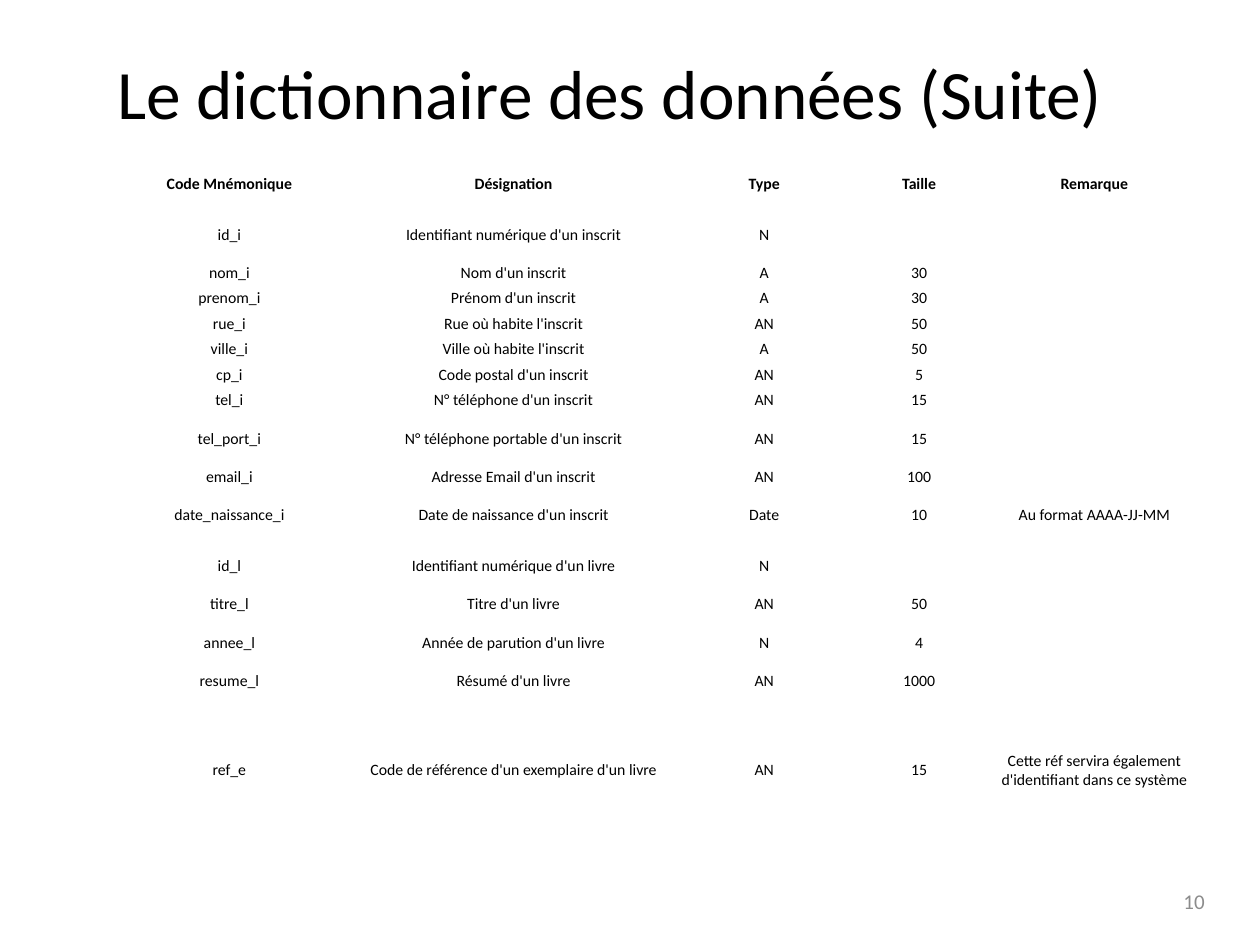
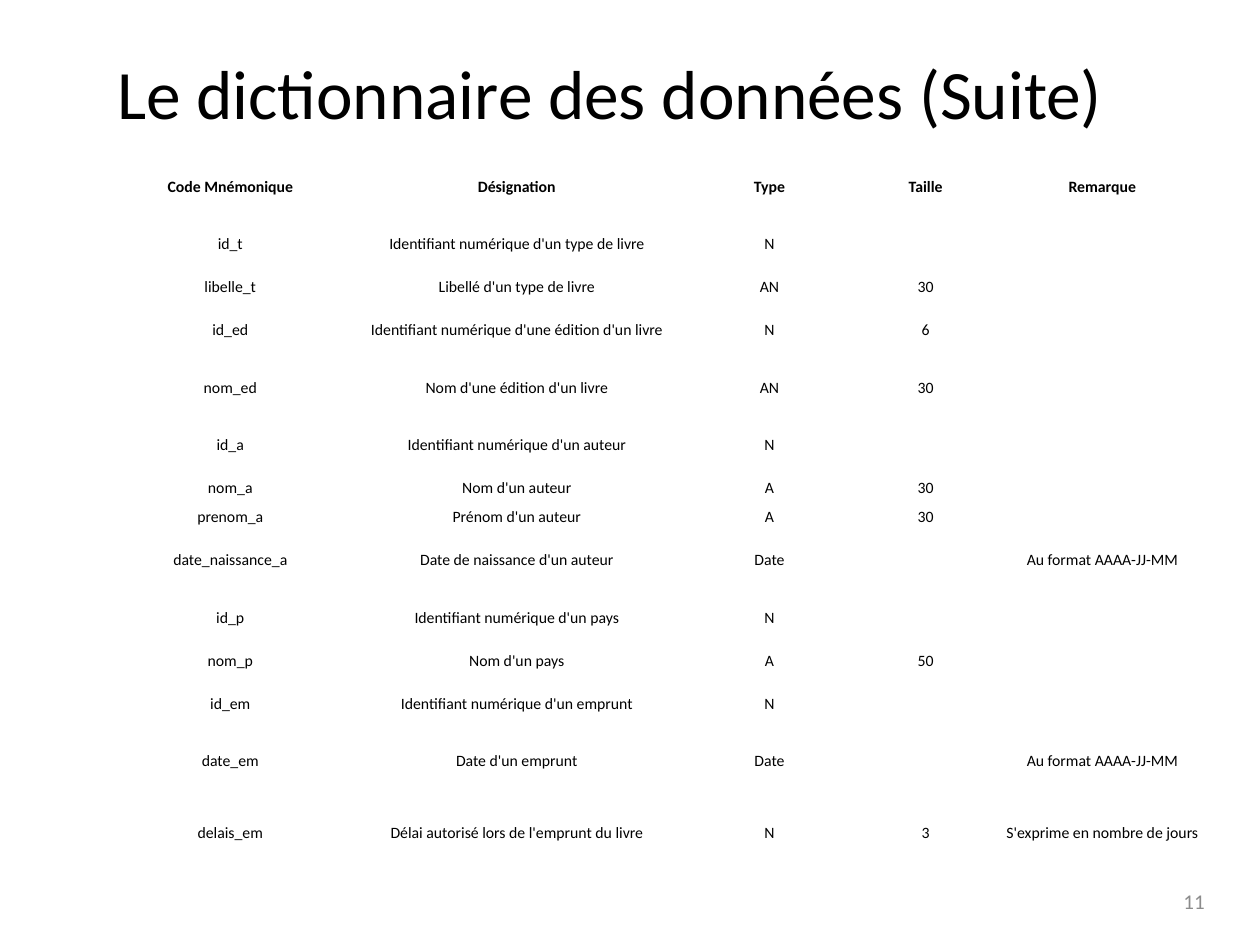
from pptx import Presentation
from pptx.dml.color import RGBColor
from pptx.enum.text import MSO_ANCHOR, MSO_AUTO_SIZE, PP_ALIGN
from pptx.util import Inches, Pt

LEFT, CENTER, RIGHT = PP_ALIGN.LEFT, PP_ALIGN.CENTER, PP_ALIGN.RIGHT
MIDDLE = MSO_ANCHOR.MIDDLE
NO_AUTOFIT = MSO_AUTO_SIZE.NONE
BLACK = RGBColor(0x00, 0x00, 0x00)
GREY = RGBColor(0x8C, 0x8C, 0x8C)

# Shared text formats
FONT = "Calibri"
TITLE_FORMAT = {"name": FONT, "size": Pt(39.6), "bold": False}
HEADER_FORMAT = {"name": FONT, "size": Pt(9), "bold": True}
BODY_FORMAT = {**HEADER_FORMAT, "bold": False}
NUMBER_FORMAT = {"name": FONT, "size": Pt(12)}

# Shared table layout
TITLE = "Le dictionnaire des données (Suite)"
HEADER = ("Code Mnémonique", "Désignation", "Type", "Taille", "Remarque")
COLUMN_SHARES = (1.76, 2.75, 1.23, 1.23, 1.55)
TABLE_LEFT, TABLE_TOP = 0.94, 1.25
CELL_FORMAT = {
    "vertical_anchor": MIDDLE,
    "margin_left": Inches(0.01),
    "margin_right": Inches(0.01),
    "margin_top": Inches(0.01),
    "margin_bottom": 0,
}

# Each entry: height in lines, code, description, type, size, remark
MEMBERS_AND_BOOKS = [
    (2, "id_i", "Identifiant numérique d'un inscrit", "N", "", ""),
    (1, "nom_i", "Nom d'un inscrit", "A", "30", ""),
    (1, "prenom_i", "Prénom d'un inscrit", "A", "30", ""),
    (1, "rue_i", "Rue où habite l'inscrit", "AN", "50", ""),
    (1, "ville_i", "Ville où habite l'inscrit", "A", "50", ""),
    (1, "cp_i", "Code postal d'un inscrit", "AN", "5", ""),
    (1, "tel_i", "N° téléphone d'un inscrit", "AN", "15", ""),
    (2, "tel_port_i", "N° téléphone portable d'un inscrit", "AN", "15", ""),
    (1, "email_i", "Adresse Email d'un inscrit", "AN", "100", ""),
    (2, "date_naissance_i", "Date de naissance d'un inscrit", "Date", "10",
     "Au format AAAA-JJ-MM"),
    (2, "id_l", "Identifiant numérique d'un livre", "N", "", ""),
    (1, "titre_l", "Titre d'un livre", "AN", "50", ""),
    (2, "annee_l", "Année de parution d'un livre", "N", "4", ""),
    (1, "resume_l", "Résumé d'un livre", "AN", "1000", ""),
    (6, "ref_e", "Code de référence d'un exemplaire d'un livre", "AN", "15",
     "Cette réf servira également d'identifiant dans ce système"),
]
AUTHORS_AND_LOANS = [
    (2, "id_t", "Identifiant numérique d'un type de livre", "N", "", ""),
    (1, "libelle_t", "Libellé d'un type de livre", "AN", "30", ""),
    (2, "id_ed", "Identifiant numérique d'une édition d'un livre", "N", "6", ""),
    (2, "nom_ed", "Nom d'une édition d'un livre", "AN", "30", ""),
    (2, "id_a", "Identifiant numérique d'un auteur", "N", "", ""),
    (1, "nom_a", "Nom d'un auteur", "A", "30", ""),
    (1, "prenom_a", "Prénom d'un auteur", "A", "30", ""),
    (2, "date_naissance_a", "Date de naissance d'un auteur", "Date", "",
     "Au format AAAA-JJ-MM"),
    (2, "id_p", "Identifiant numérique d'un pays", "N", "", ""),
    (1, "nom_p", "Nom d'un pays", "A", "50", ""),
    (2, "id_em", "Identifiant numérique d'un emprunt", "N", "", ""),
    (2, "date_em", "Date d'un emprunt", "Date", "", "Au format AAAA-JJ-MM"),
    (3, "delais_em", "Délai autorisé lors de l'emprunt du livre", "N", "3",
     "S'exprime en nombre de jours"),
]


def apply_format(target, values):
    for name, value in values.items():
        setattr(target, name, value)


def write_text(frame, text, font_format, color, align):
    para = frame.paragraphs[0]
    para.alignment = align
    if text:
        span = para.add_run()
        span.text = text
        apply_format(span.font, font_format)
        span.font.color.rgb = color
    else:
        # An empty cell needs the small size too, or its row would grow
        end_mark = para._p.get_or_add_endParaRPr()
        end_mark.set("sz", str(int(font_format["size"].pt * 100)))


def set_title(page):
    title = page.shapes.title
    apply_format(title, {"left": Inches(0.83), "top": Inches(0.23),
                         "width": Inches(8.83), "height": Inches(1)})
    apply_format(title.text_frame, {"vertical_anchor": MIDDLE, "word_wrap": True,
                                    "auto_size": NO_AUTOFIT})
    write_text(title.text_frame, TITLE, TITLE_FORMAT, BLACK, LEFT)


def add_page_number(page, number):
    box = page.shapes.add_textbox(Inches(7.33), Inches(6.95), Inches(2.33), Inches(0.4))
    apply_format(box.text_frame, {"vertical_anchor": MIDDLE, "word_wrap": True})
    write_text(box.text_frame, str(number), NUMBER_FORMAT, GREY, RIGHT)


def add_dictionary(page, entries, width, height):
    rows = [(2, *HEADER), *entries]
    table = page.shapes.add_table(
        len(rows), len(HEADER), Inches(TABLE_LEFT), Inches(TABLE_TOP),
        Inches(width), Inches(height)).table
    apply_format(table, {"first_row": False, "horz_banding": False})

    for column, share in zip(table.columns, COLUMN_SHARES):
        column.width = Inches(width * share / sum(COLUMN_SHARES))

    line_height = height / sum(row[0] for row in rows)
    for row_index, (lines, *texts) in enumerate(rows):
        table.rows[row_index].height = Inches(lines * line_height)
        font_format = BODY_FORMAT if row_index else HEADER_FORMAT
        for cell, text in zip(table.rows[row_index].cells, texts):
            cell.fill.background()
            apply_format(cell, CELL_FORMAT)
            write_text(cell.text_frame, text, font_format, BLACK, CENTER)


def main():
    deck = Presentation()
    deck.slide_width, deck.slide_height = Inches(10), Inches(7.5)
    title_only = deck.slide_layouts[5]

    # Page number, entries, table width and height
    pages = [
        (10, MEMBERS_AND_BOOKS, 8.52, 5.47),
        (11, AUTHORS_AND_LOANS, 8.59, 5.7),
    ]
    for number, entries, width, height in pages:
        page = deck.slides.add_slide(title_only)
        set_title(page)
        add_dictionary(page, entries, width, height)
        add_page_number(page, number)

    deck.save("out.pptx")


if __name__ == "__main__":
    main()
